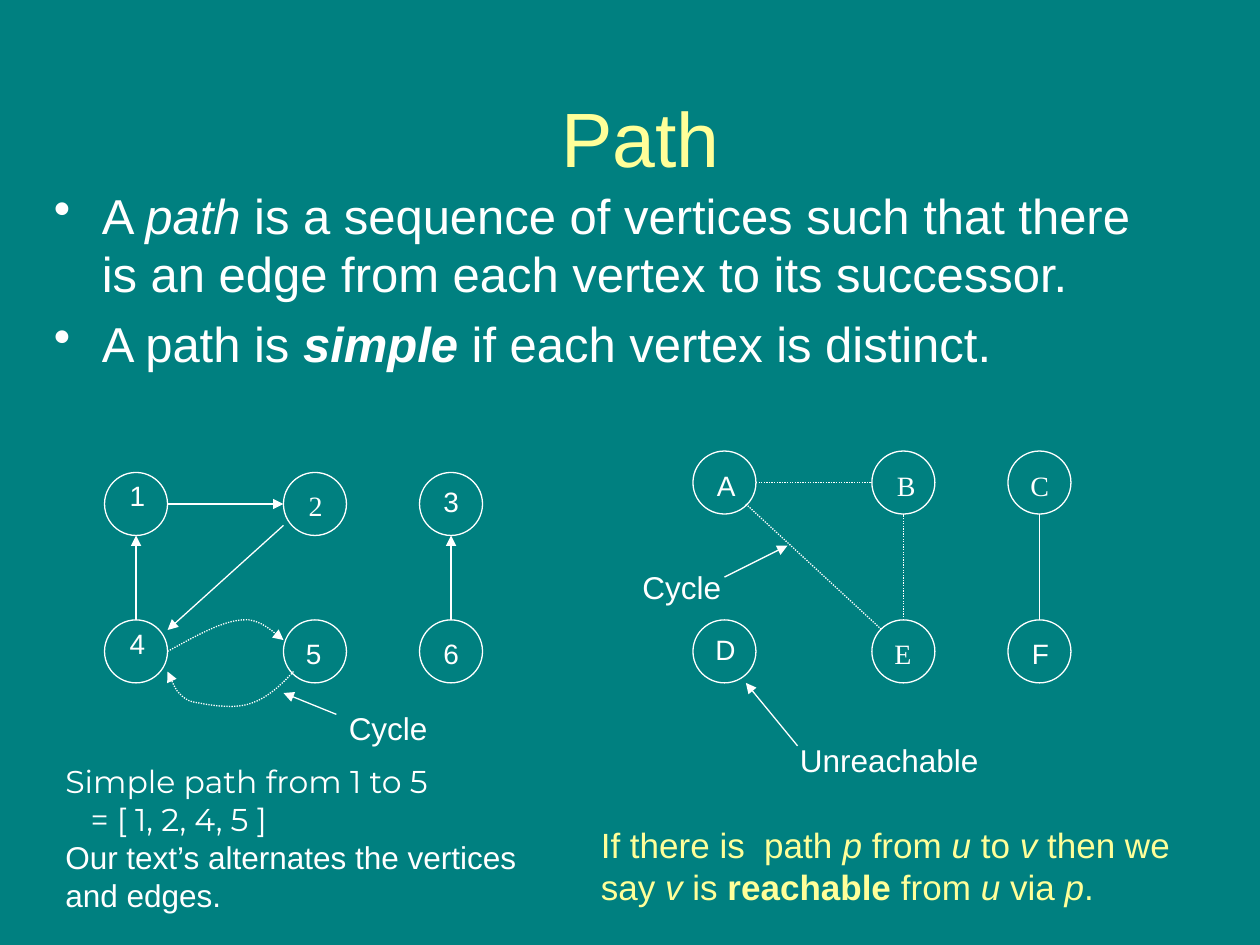
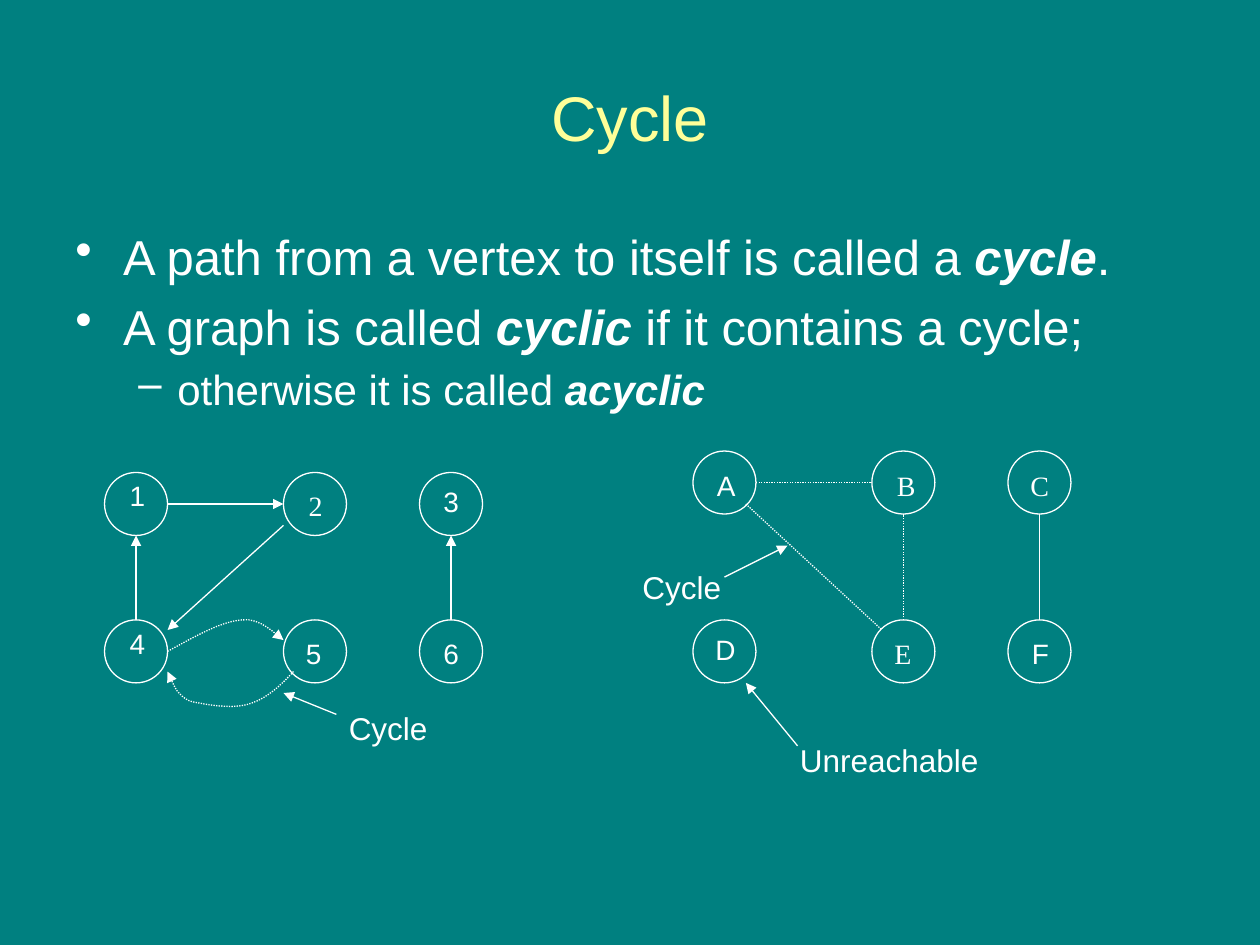
"""Builds two slides on paths and cycles in graphs."""
from lxml import etree
from pptx import Presentation
from pptx import util as u
from pptx.dml.color import RGBColor
from pptx.enum import dml, shapes, text
from pptx.oxml.ns import qn

Inches, Pt = u.Inches, u.Pt
COLORS = {"back": "008080", "ink": "FFFFFF", "accent": "FFFF99"}
SANS, SERIF, DISPLAY = "Arial", "Times New Roman", "Montserrat"
NODE = 0.5
LEFT_X, LEFT_Y = (0.83, 2.25, 3.33), (3.75, 4.92)
RIGHT_X, RIGHT_Y = (5.5, 6.92, 8), (3.58, 4.92)

LEFT_NODES = [
    ("1", 0, 0, 0.93, 3.75, SANS), ("2", 1, 0, 2.35, 3.83, SERIF),
    ("3", 2, 0, 3.42, 3.8, SANS), ("4", 0, 1, 0.93, 4.92, SANS),
    ("5", 1, 1, 2.33, 5, SANS), ("6", 2, 1, 3.42, 5, SANS),
]
RIGHT_NODES = [
    ("A", 0, 0, 5.59, 3.67, SANS), ("B", 1, 0, 7.02, 3.67, SERIF),
    ("C", 2, 0, 8.08, 3.67, SERIF), ("D", 0, 1, 5.58, 4.97, SANS),
    ("E", 1, 1, 7, 5, SERIF), ("F", 2, 1, 8.09, 5, SANS),
]
ARC_4_TO_5 = [(1.33, 5.17),
              (1.55, 5.05), (1.76, 4.93), (1.92, 4.92),
              (2.07, 4.9), (2.19, 5.04), (2.25, 5.08)]
ARC_5_TO_4 = [(2.33, 5.33),
              (2.23, 5.44), (2.12, 5.54), (2, 5.58),
              (1.88, 5.63), (1.68, 5.6), (1.58, 5.58),
              (1.49, 5.57), (1.46, 5.54), (1.42, 5.5),
              (1.38, 5.46), (1.35, 5.36), (1.33, 5.33)]


def rgb(name):
    """Return a named colour."""
    return RGBColor.from_string(COLORS[name])


def style_font(p, size, color="ink", font=SANS):
    """Set the font of a whole paragraph."""
    p.font.size = Pt(size)
    p.font.name = font
    p.font.color.rgb = rgb(color)


def add_marked(p, marked):
    """Add runs, with *bold* and _italic_ marks."""
    for i, part in enumerate(marked.split("*")):
        for j, piece in enumerate(part.split("_")):
            if piece:
                r = p.add_run()
                r.text = piece
                if i % 2:
                    r.font.bold = True
                if j % 2:
                    r.font.italic = True


def add_text(parent, box, lines, size, color="ink", font=SANS, wrap=False):
    """Add a text box with one paragraph per line."""
    sp = parent.shapes.add_textbox(*map(Inches, box))
    tf = sp.text_frame
    tf.word_wrap = wrap
    if not wrap:
        tf.auto_size = text.MSO_AUTO_SIZE.SHAPE_TO_FIT_TEXT
    for i, line in enumerate(lines):
        p = tf.add_paragraph() if i else tf.paragraphs[0]
        style_font(p, size, color, font)
        add_marked(p, line)
    return tf


def set_indent(p, left, first=0):
    """Set the left margin and first-line indent of a paragraph."""
    pPr = p._p.get_or_add_pPr()
    pPr.set("marL", str(Inches(left)))
    pPr.set("indent", str(Inches(first)))
    return pPr


def add_bullets(s, box, items):
    """Add a two-level bulleted list of (level, text) items."""
    levels = [(28, 0.38, -0.38, "\u2022", 6), (24, 0.81, -0.31, "\u2013", 5)]
    tf = add_text(s, box, [line for _, line in items], 28, wrap=True)
    for p, (level, _) in zip(tf.paragraphs, items):
        size, left, first, char, gap = levels[level]
        p.level = level
        p.font.size = Pt(size)
        p.space_before = Pt(gap)
        pPr = set_indent(p, left, first)
        bullet = etree.Element(qn("a:buChar"), char=char)
        pPr.find(qn("a:defRPr")).addprevious(bullet)


def add_slide(prs, title, box, size):
    """Add a slide with a centred title."""
    s = prs.slides.add_slide(prs.slide_layouts[5])
    sp = s.shapes.title
    sp.left, sp.top, sp.width, sp.height = map(Inches, box)
    tf = sp.text_frame
    tf.text = title
    tf.auto_size = text.MSO_AUTO_SIZE.NONE
    tf.vertical_anchor = text.MSO_ANCHOR.MIDDLE
    p = tf.paragraphs[0]
    p.alignment = text.PP_ALIGN.CENTER
    style_font(p, size, "accent")
    return s


def style_line(sp, dotted=False, arrow=False):
    """Give a shape its thin outline, dots and arrowhead."""
    sp.line.color.rgb = rgb("ink")
    sp.line.width = Pt(0.75)
    if dotted:
        sp.line.dash_style = dml.MSO_LINE.ROUND_DOT
    if arrow:
        ln = sp._element.spPr.get_or_add_ln()
        etree.SubElement(ln, qn("a:tailEnd"), type="triangle")


def add_edge(group, start, end, dotted=False, arrow=False):
    """Add a straight edge or pointer."""
    c = group.shapes.add_connector(shapes.MSO_CONNECTOR.STRAIGHT,
                                   *map(Inches, (*start, *end)))
    style_line(c, dotted, arrow)
    etree.SubElement(c._element.spPr, qn("a:effectLst"))


def bezier(a, b, c, d, t):
    """Return the point at t on a cubic curve."""
    k = 1 - t
    return tuple(Inches(k**3 * p + 3 * k * k * t * q + 3 * k * t * t * r + t**3 * w)
                 for p, q, r, w in zip(a, b, c, d))


def add_arc(group, points, steps=8):
    """Add a dotted arrow along joined cubic curves."""
    fb = group.shapes.build_freeform(*map(Inches, points[0]))
    fb.add_line_segments([bezier(*points[i:i + 4], n / steps)
                          for i in range(0, len(points) - 1, 3)
                          for n in range(1, steps + 1)], close=False)
    sp = fb.convert_to_shape()
    sp.fill.background()
    sp.shadow.inherit = False
    style_line(sp, dotted=True, arrow=True)


def add_nodes(group, nodes, columns, rows, label_width):
    """Add the circles of a graph and their labels."""
    for label, col, row, x, y, font in nodes:
        sp = group.shapes.add_shape(shapes.MSO_SHAPE.OVAL, Inches(columns[col]),
                                    Inches(rows[row]), Inches(NODE), Inches(NODE))
        sp.fill.background()
        sp.shadow.inherit = False
        style_line(sp)
        add_text(group, (x, y, label_width, 0.37), [label], 16, font=font)


def add_directed_graph(s):
    """Add the graph of numbered vertices."""
    g = s.shapes.add_group_shape()
    add_nodes(g, LEFT_NODES, LEFT_X, LEFT_Y, 0.32)
    for start, end in [((1.08, 4.92), (1.08, 4.25)), ((1.33, 4), (2.25, 4)),
                       ((2.25, 4.17), (1.33, 5)), ((3.58, 4.92), (3.58, 4.25)),
                       ((2.67, 5.67), (2.25, 5.5))]:
        add_edge(g, start, end, arrow=True)
    add_arc(g, ARC_4_TO_5)
    add_arc(g, ARC_5_TO_4)
    add_text(g, (2.67, 5.58, 0.83, 0.4), ["Cycle"], 18)


def add_undirected_graph(s):
    """Add the graph of lettered vertices."""
    g = s.shapes.add_group_shape()
    add_nodes(g, RIGHT_NODES, RIGHT_X, RIGHT_Y, 0.35)
    for start, end in [((5.92, 4), (7, 5)), ((6, 3.83), (6.92, 3.83)),
                       ((7.17, 4.92), (7.17, 4.08))]:
        add_edge(g, start, end, dotted=True)
    add_edge(g, (8.25, 4.92), (8.25, 4.08))
    add_edge(g, (6.33, 5.92), (5.92, 5.42), arrow=True)
    add_edge(g, (5.75, 4.58), (6.25, 4.33), arrow=True)
    add_text(g, (6.25, 5.83, 1.62, 0.4), ["Unreachable"], 18)
    add_text(g, (5, 4.46, 0.83, 0.4), ["Cycle"], 18)


def add_path_notes(s):
    """Add the remarks below the graphs."""
    tf = add_text(s, (0.42, 6, 3.78, 1.3),
                  ["Simple path from 1 to 5", "= [ 1, 2, 4, 5 ]",
                   "Our text\u2019s alternates the vertices", "and edges."], 18)
    for p in tf.paragraphs[:2]:
        p.font.name = DISPLAY
    set_indent(tf.paragraphs[1], 0.2)
    tf = add_text(s, (4.67, 6.58, 4.75, 0.58),
                  ["If there is  path _p_ from _u_ to _v_ then we say _v_ is "
                   "*reachable* from _u_ via _p_."], 20, "accent", wrap=True)
    tf.vertical_anchor = text.MSO_ANCHOR.MIDDLE


def main():
    """Build and save the presentation."""
    prs = Presentation()
    prs.slide_width, prs.slide_height = Inches(10), Inches(7.5)
    fill = prs.slide_master.background.fill
    fill.solid()
    fill.fore_color.rgb = rgb("back")

    s = add_slide(prs, "Path", (0.5, 0.42, 9.17, 1.33), 44)
    add_bullets(s, (0.33, 1.42, 9, 2.25), [
        (0, "A _path_ is a sequence of vertices such that there is an edge "
            "from each vertex to its successor."),
        (0, "A path is *_simple_* if each vertex is distinct.")])
    add_directed_graph(s)
    add_undirected_graph(s)
    add_path_notes(s)

    s = add_slide(prs, "Cycle", (0.5, 0.3, 9, 1.25), 36)
    add_bullets(s, (0.5, 1.75, 9, 4.95), [
        (0, "A path from a vertex to itself is called a *_cycle_*."),
        (0, "A graph is called *_cyclic_* if it contains a cycle;"),
        (1, "otherwise it is called *_acyclic_*")])
    add_directed_graph(s)
    add_undirected_graph(s)

    prs.save("out.pptx")


main()
